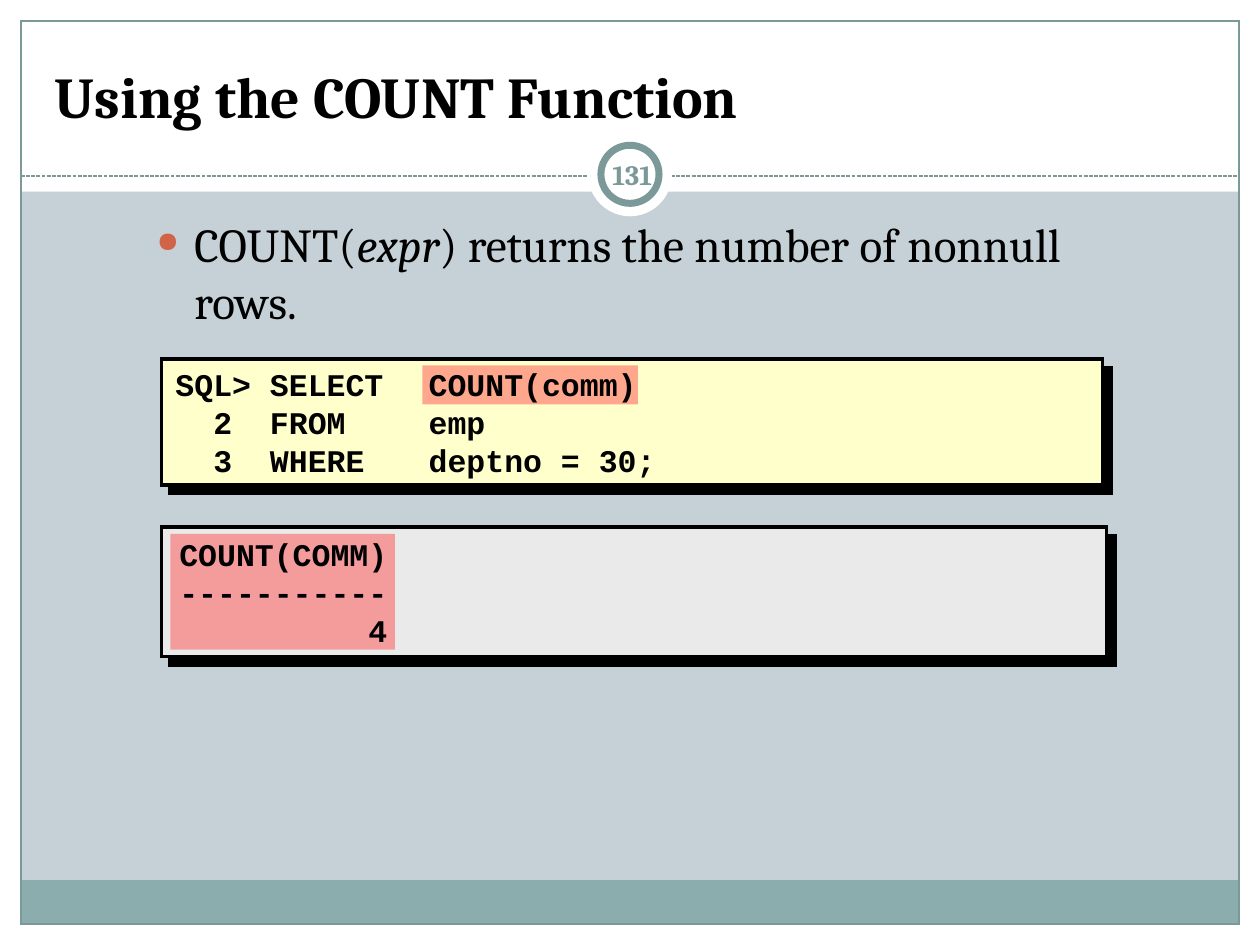
from lxml import etree
from pptx import Presentation
from pptx.dml.color import RGBColor
from pptx.enum.dml import MSO_LINE
from pptx.enum.shapes import MSO_CONNECTOR, MSO_SHAPE
from pptx.enum.text import MSO_ANCHOR, PP_ALIGN
from pptx.oxml import parse_xml
from pptx.oxml.ns import nsdecls, qn
from pptx.util import Pt

RECTANGLE, OVAL = MSO_SHAPE.RECTANGLE, MSO_SHAPE.OVAL
STRAIGHT = MSO_CONNECTOR.STRAIGHT
DASH = MSO_LINE.SQUARE_DOT
TOP, MIDDLE, BOTTOM = MSO_ANCHOR.TOP, MSO_ANCHOR.MIDDLE, MSO_ANCHOR.BOTTOM
LEFT, CENTER = PP_ALIGN.LEFT, PP_ALIGN.CENTER

WIDTH, HEIGHT, MARGIN = 720, 540, 12
WHITE, BLACK, TEAL, ACCENT = "FFFFFF", "000000", "7C999A", "FF5050"
SERIF, MONO = "Cambria", "Courier New"


def colour(code):
    return RGBColor.from_string(code)


def add_block(page, bounds, fill=None, line=None, weight=0.75, kind=RECTANGLE):
    block = page.shapes.add_shape(kind, *map(Pt, bounds))
    block.shadow.inherit = False
    if fill:
        block.fill.solid()
        block.fill.fore_color.rgb = colour(fill)
    else:
        block.fill.background()
    if line:
        block.line.color.rgb = colour(line)
        block.line.width = Pt(weight)
        outline = block._element.spPr.find(qn("a:ln"))
        etree.SubElement(outline, qn("a:miter"), lim="800000")
    else:
        block.line.fill.background()
    return block


def add_panel(page, bounds, fill):
    """Add an outlined box with a hard black shadow."""
    panel = add_block(page, bounds, fill, BLACK, 2)
    effects = panel._element.spPr.find(qn("a:effectLst"))
    effects.append(parse_xml(
        f'<a:outerShdw {nsdecls("a")} dist="{Pt(7.1)}" dir="2700000" '
        'algn="ctr" rotWithShape="0"><a:srgbClr val="000000"/></a:outerShdw>'))


def add_highlight(page, bounds):
    """Add a half-transparent marker."""
    marker = add_block(page, bounds, ACCENT)
    tint = marker._element.spPr.find(".//" + qn("a:srgbClr"))
    etree.SubElement(tint, qn("a:alpha"), val="50000")


def add_rule(page, y):
    rule = page.shapes.add_connector(
        STRAIGHT, Pt(MARGIN), Pt(y), Pt(WIDTH - MARGIN), Pt(y))
    rule.line.color.rgb = colour(TEAL)
    rule.line.width = Pt(0.75)
    rule.line.dash_style = DASH
    etree.SubElement(rule._element.spPr, qn("a:effectLst"))


def format_para(para, size, font, code, bold=False, align=LEFT):
    para.alignment = align
    for span in para.runs:
        span.font.size = Pt(size)
        span.font.name = font
        span.font.bold = bold
        span.font.color.rgb = colour(code)


def add_text_box(page, bounds, anchor=TOP, wrap=True, side=7.2):
    box = page.shapes.add_textbox(*map(Pt, bounds))
    frame = box.text_frame
    frame.word_wrap = wrap
    frame.vertical_anchor = anchor
    frame.margin_left = frame.margin_right = Pt(side)
    frame.margin_top = frame.margin_bottom = Pt(3.6)
    return frame


def add_code(page, bounds, lines, stops, anchor=TOP, wrap=True):
    frame = add_text_box(page, bounds, anchor, wrap)
    frame.text = "\n".join(lines)
    for para in frame.paragraphs:
        tabs = etree.SubElement(para._p.get_or_add_pPr(), qn("a:tabLst"))
        for stop in stops:
            etree.SubElement(tabs, qn("a:tab"), pos=str(Pt(stop)), algn="l")
        format_para(para, 18, MONO, BLACK, bold=True)


def add_bullet(page, bounds, pieces):
    """Add a bulleted paragraph from (text, italic) pieces."""
    para = add_text_box(page, bounds).paragraphs[0]
    properties = para._p.get_or_add_pPr()
    properties.set("marL", str(Pt(21.6)))
    properties.set("indent", str(Pt(-21.6)))
    bullet_colour = etree.SubElement(properties, qn("a:buClr"))
    etree.SubElement(bullet_colour, qn("a:srgbClr"), val="D16349")
    etree.SubElement(properties, qn("a:buSzPct"), val="60000")
    etree.SubElement(properties, qn("a:buChar"), char="●")
    for text, italic in pieces:
        span = para.add_run()
        span.text = text
        span.font.italic = italic
    format_para(para, 27, SERIF, BLACK)


def add_frame(page):
    page.background.fill.solid()
    page.background.fill.fore_color.rgb = colour("C5D1D7")
    inner = WIDTH - 2 * MARGIN
    for bounds in ((0, HEIGHT - MARGIN, WIDTH, MARGIN), (0, 0, WIDTH, 109.5),
                   (0, 0, MARGIN, HEIGHT), (WIDTH - MARGIN, 0, MARGIN, HEIGHT)):
        add_block(page, bounds, WHITE)
    add_block(page, (MARGIN, 503, inner, 24.5), "8CADAE")
    add_block(page, (MARGIN, MARGIN, inner, HEIGHT - 2 * MARGIN), line=TEAL)
    add_rule(page, 100.6)
    add_block(page, (336, 75.6, 48, 48), WHITE, kind=OVAL)
    add_block(page, (343.4, 83, 33.2, 33.2), WHITE, TEAL, 4, OVAL)


def set_title(page, text):
    """Fill the title and bring it in front of the frame."""
    title = page.shapes.title
    title.left, title.top, title.width, title.height = map(
        Pt, (24, 18, 672, 60))
    frame = title.text_frame
    frame.text = text
    frame.vertical_anchor = BOTTOM
    format_para(frame.paragraphs[0], 33, SERIF, BLACK, bold=True)
    page.shapes._spTree.append(title._element)


def add_page_number(page, number):
    frame = add_text_box(page, (343.4, 82.3, 36, 34.6), MIDDLE, side=3.6)
    frame.text = number
    format_para(frame.paragraphs[0], 16, SERIF, TEAL, bold=True, align=CENTER)


def main():
    deck = Presentation()
    deck.slide_width, deck.slide_height = Pt(WIDTH), Pt(HEIGHT)
    page = deck.slides.add_slide(deck.slide_layouts[5])
    add_frame(page)
    set_title(page, "Using the COUNT Function")
    add_panel(page, (92.2, 205.2, 537.8, 72), "FFFFCC")
    add_panel(page, (92.2, 301.2, 540, 74), "EAEAEA")
    add_highlight(page, (241.4, 208.8, 123.1, 22.3))
    add_highlight(page, (97.4, 305.1, 128.2, 66.2))
    add_bullet(page, (82.4, 119.5, 581.8, 71.3),
               [("COUNT(", False), ("expr", True),
                (") returns the number of nonnull rows.", False)])
    add_code(page, (93.2, 204, 540, 74),
             ["SQL> SELECT\tCOUNT(comm)", "  2  FROM\temp",
              "  3  WHERE\tdeptno = 30;"], (54, 144.7), MIDDLE, wrap=False)
    add_code(page, (95.4, 302.4, 537.8, 72),
             ["COUNT(COMM)", "-----------", "          4"], (144, 243.4, 332.6))
    add_page_number(page, "131")
    deck.save("out.pptx")


if __name__ == "__main__":
    main()
